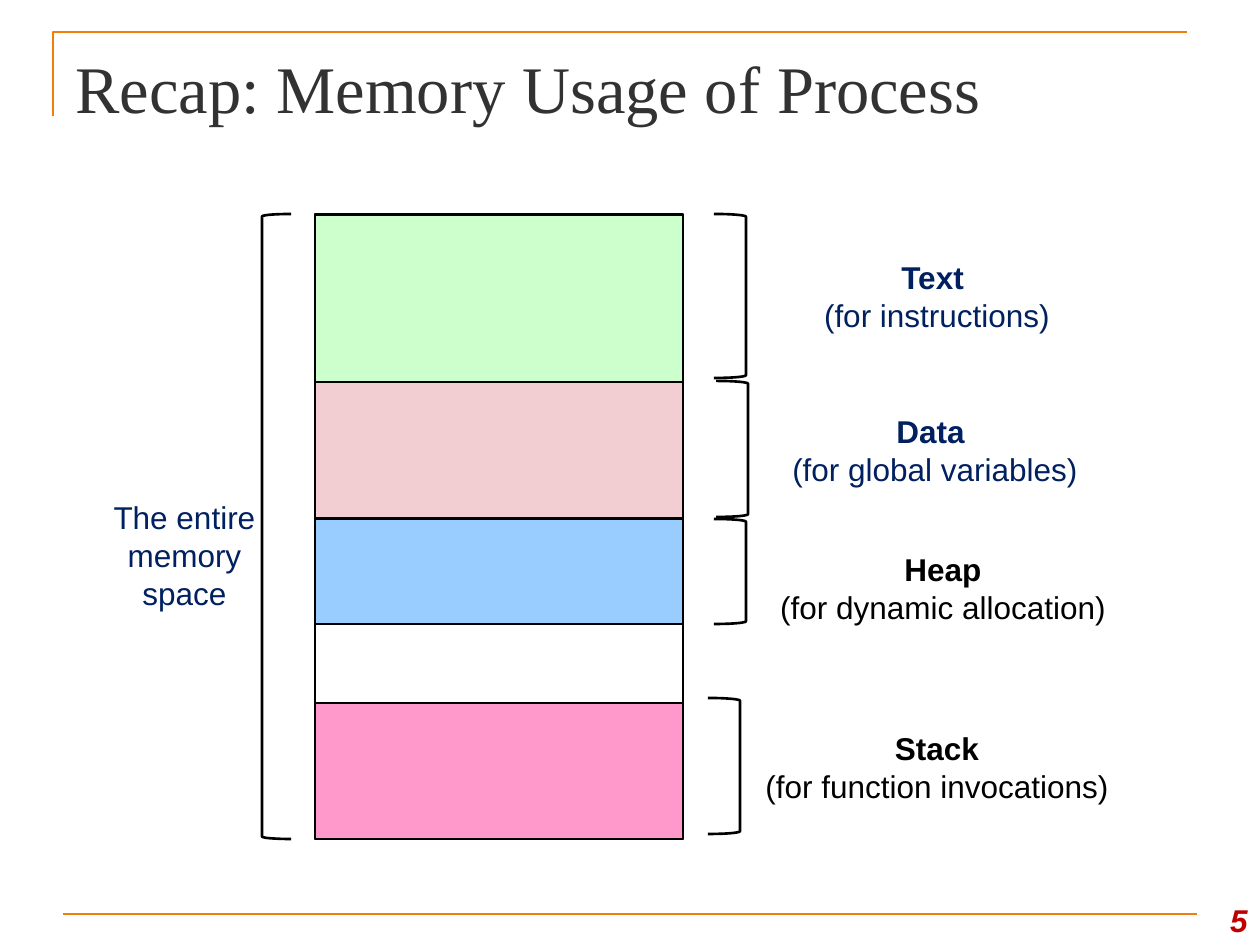
from dataclasses import dataclass
from typing import NamedTuple, Optional

from lxml.etree import SubElement
from pptx import Presentation
from pptx.dml.color import RGBColor
from pptx.enum.shapes import MSO_CONNECTOR, MSO_SHAPE
from pptx.enum.text import MSO_ANCHOR, PP_ALIGN
from pptx.oxml.ns import qn
from pptx.util import Emu, Pt


@dataclass(frozen=True)
class Theme:
    accent: str = "F07F09"
    title: str = "323232"
    number: str = "C00000"
    navy: str = "002060"
    black: str = "000000"
    white: str = "FFFFFF"
    heading_font: str = "Times New Roman"
    body_font: str = "Arial"
    title_size: int = 38
    body_size: int = 18
    line: float = 1.5
    label_line: float = 2


class Box(NamedTuple):
    x: int
    y: int
    w: int
    h: int


@dataclass(frozen=True)
class Run:
    text: str
    color: str
    size: int
    font: str
    bold: bool = False
    italic: bool = False


@dataclass(frozen=True)
class Segment:
    name: str
    purpose: str
    fill: str
    color: str
    body: tuple[int, int]
    bracket: Box
    label: Box


T = Theme()
PX = 914400 / 126
MEMORY = Box(315, 214, 368, 625)
BRACKET_W = 32
LABEL_H = 118

SEGMENTS = [
    Segment("Text ", "(for instructions)", "CCFFCC", T.navy, (215, 168),
            Box(714, 214, BRACKET_W, 164), Box(748, 237, 378, LABEL_H)),
    Segment("Data ", "(for global variables)", "F2CED2", T.navy, (382, 136),
            Box(716, 381, BRACKET_W, 136), Box(746, 391, 378, LABEL_H)),
    Segment("Heap", "(for dynamic allocation)", "99CCFF", T.black, (519, 105),
            Box(714, 519, BRACKET_W, 105), Box(746, 529, 394, LABEL_H)),
    Segment("Stack", "(for function invocations)", "FF99CC", T.black, (703, 136),
            Box(708, 698, BRACKET_W, 136), Box(740, 708, 394, LABEL_H)),
]


def px(n: int) -> Emu:
    return Emu(round(n * PX))


def emu(box: Box) -> list[Emu]:
    return [px(n) for n in box]


def rgb(color: str) -> RGBColor:
    return RGBColor.from_string(color)


def set_line(sp, color: str, width: float) -> None:
    sp.line.color.rgb = rgb(color)
    sp.line.width = Pt(width)


def add_shape(s, kind: MSO_SHAPE, box: Box, fill: Optional[str] = None,
              line: str = T.black, width: float = T.line):
    sp = s.shapes.add_shape(kind, *emu(box))
    sp.shadow.inherit = False
    if fill:
        sp.fill.solid()
        sp.fill.fore_color.rgb = rgb(fill)
    else:
        sp.fill.background()
    set_line(sp, line, width)
    return sp


def write(sp, runs: list[Run], align: PP_ALIGN, anchor: MSO_ANCHOR) -> None:
    tf = sp.text_frame
    tf.word_wrap = True
    tf.vertical_anchor = anchor
    for i, run in enumerate(runs):
        p = tf.add_paragraph() if i else tf.paragraphs[0]
        p.alignment = align
        r = p.add_run()
        r.text = run.text
        r.font.name = run.font
        r.font.size = Pt(run.size)
        r.font.bold = run.bold
        r.font.italic = run.italic
        r.font.color.rgb = rgb(run.color)


def add_text(s, box: Box, runs: list[Run], align: PP_ALIGN, anchor: MSO_ANCHOR) -> None:
    write(s.shapes.add_textbox(*emu(box)), runs, align, anchor)


def body(text: str, color: str, bold: bool = False, italic: bool = False) -> Run:
    return Run(text, color, T.body_size, T.body_font, bold, italic)


def add_frame(s) -> None:
    fb = s.shapes.build_freeform(px(53), px(116))
    fb.add_line_segments([(px(53), px(32)), (px(1187), px(32))], close=False)
    corner = fb.convert_to_shape()
    corner.shadow.inherit = False
    corner.fill.background()
    set_line(corner, T.accent, T.line)

    rule = s.shapes.add_connector(MSO_CONNECTOR.STRAIGHT, px(63), px(914), px(1197), px(914))
    set_line(rule, T.accent, T.line)
    SubElement(rule._element.spPr, qn("a:effectLst"))


def add_label(s, seg: Segment) -> None:
    sp = add_shape(s, MSO_SHAPE.RECTANGLE, seg.label, T.white, T.white, T.label_line)
    write(sp, [body(seg.name, seg.color, bold=True), body(seg.purpose, seg.color)],
          PP_ALIGN.CENTER, MSO_ANCHOR.MIDDLE)


def add_segment(s, seg: Segment) -> None:
    top, height = seg.body
    add_shape(s, MSO_SHAPE.RECTANGLE, Box(MEMORY.x, top, MEMORY.w, height), seg.fill)
    add_shape(s, MSO_SHAPE.RIGHT_BRACKET, seg.bracket)


def main() -> None:
    prs = Presentation()
    prs.slide_width, prs.slide_height = px(1260), px(945)
    s = prs.slides.add_slide(prs.slide_layouts[6])

    add_frame(s)
    add_text(s, Box(63, 38, 1134, 98),
             [Run("Recap: Memory Usage of Process", T.title, T.title_size, T.heading_font)],
             PP_ALIGN.LEFT, MSO_ANCHOR.MIDDLE)
    add_text(s, Box(1187, 882, 73, 63), [body("5", T.number, bold=True, italic=True)],
             PP_ALIGN.RIGHT, MSO_ANCHOR.BOTTOM)

    add_shape(s, MSO_SHAPE.LEFT_BRACKET, Box(262, MEMORY.y, 29, MEMORY.h))
    add_text(s, Box(95, 496, 179, LABEL_H),
             [body("The entire", T.navy), body("memory space", T.navy)],
             PP_ALIGN.CENTER, MSO_ANCHOR.MIDDLE)

    for seg in SEGMENTS:
        add_label(s, seg)
    for seg in SEGMENTS:
        add_segment(s, seg)
    add_shape(s, MSO_SHAPE.RECTANGLE, MEMORY)

    prs.save("out.pptx")


if __name__ == "__main__":
    main()
